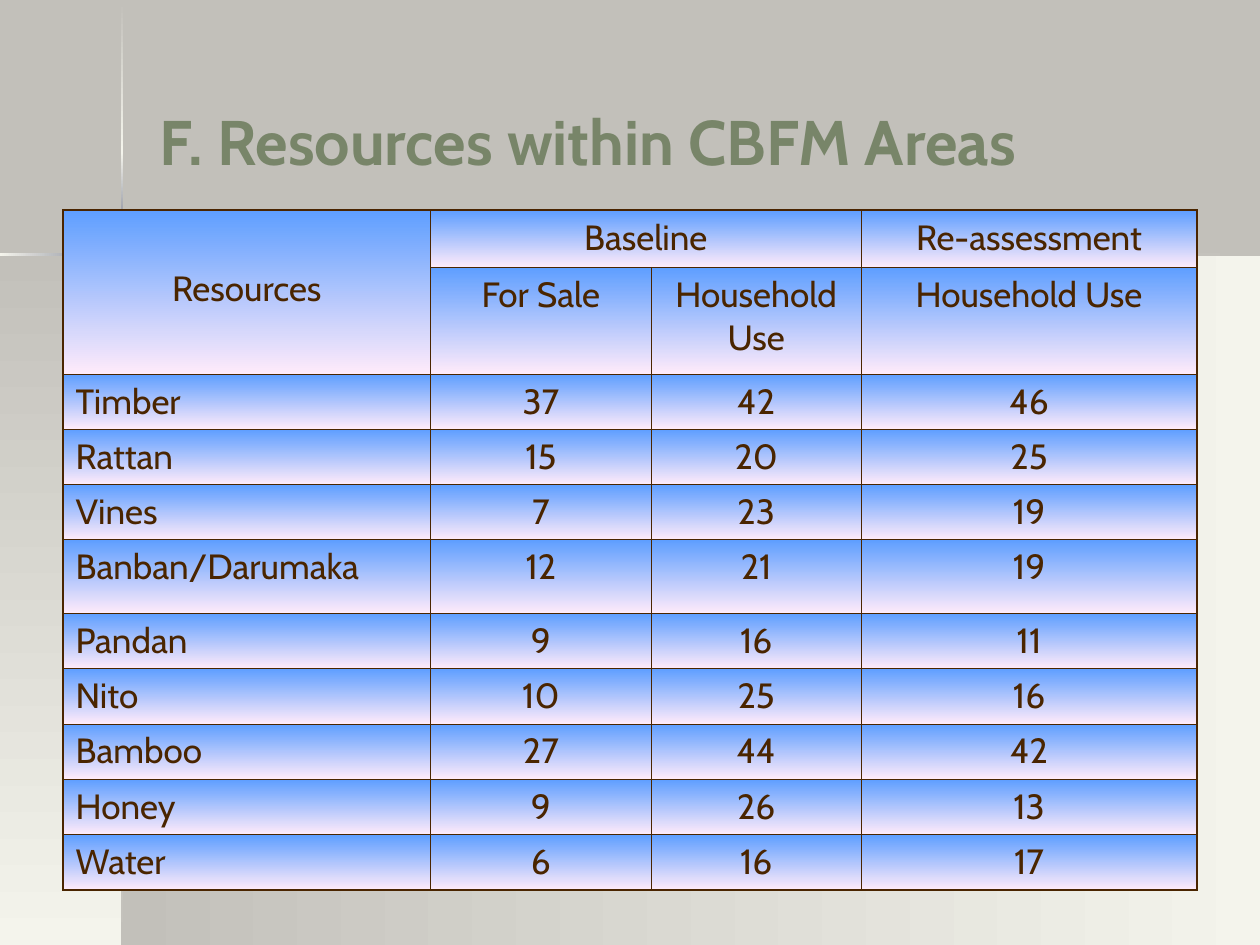
from itertools import pairwise

from lxml.etree import SubElement
from pptx import Presentation
from pptx.dml.color import RGBColor
from pptx.enum.shapes import MSO_SHAPE as Shape
from pptx.enum.text import MSO_ANCHOR as Anchor, PP_ALIGN as Align
from pptx.oxml import parse_xml
from pptx.oxml.ns import nsdecls, qn
from pptx.util import Cm, Pt

STONE = RGBColor(0xC2, 0xC0, 0xBA)
IVORY = RGBColor(0xF4, 0xF4, 0xEC)
GREY = RGBColor(0xA5, 0xA7, 0xAF)
OLIVE = RGBColor(0x9C, 0x98, 0x00)
BLUE = RGBColor(0x5E, 0x9E, 0xFF)
PINK = RGBColor(0xFF, 0xEB, 0xFA)
BROWN = RGBColor(0x4A, 0x25, 0x00)
SAGE = RGBColor(0x78, 0x85, 0x69)

WIDTH, HEIGHT = 25.4, 19.05
SPLIT_X, SPLIT_Y = 2.46, 5.13
HAIR = 0.05
DOWN, LEFTWARD = 270, 180  # counter-clockwise degrees

COLUMNS = [7.41, 4.45, 4.23, 6.77]
ROWS = [1.15, 2.14] + [1.11] * 3 + [1.48] + [1.11] * 5
MERGES = [((0, 0), (1, 0)), ((0, 1), (0, 2))]
RESOURCES = [
    ("Resources", "Baseline", "", "Re-assessment"),
    ("", "For Sale", "Household Use", "Household Use"),
    ("Timber", 37, 42, 46),
    ("Rattan", 15, 20, 25),
    ("Vines", 7, 23, 19),
    ("Banban/Darumaka", 12, 21, 19),
    ("Pandan", 9, 16, 11),
    ("Nito", 10, 25, 16),
    ("Bamboo", 27, 44, 42),
    ("Honey", 9, 26, 13),
    ("Water", 6, 16, 17),
]


def set_gradient(fill, props, colours, angle):
    """Spread any number of colours evenly; props is the element holding the fill."""
    fill.gradient()
    fill.gradient_angle = angle
    stops = props.find(".//" + qn("a:gsLst"))
    stops.clear()
    for i, colour in enumerate(colours):
        stop = SubElement(stops, qn("a:gs"), pos=str(100000 * i // (len(colours) - 1)))
        SubElement(stop, qn("a:srgbClr"), val=str(colour))


class SlideBuilder:
    font = "Cabin"

    def __init__(self, s):
        self.s = s

    def background(self, colour):
        fill = self.s.background.fill
        fill.solid()
        fill.fore_color.rgb = colour

    def band(self, x, y, w, h, colours, angle):
        sp = self.s.shapes.add_shape(Shape.RECTANGLE, Cm(x), Cm(y), Cm(w), Cm(h))
        sp.shadow.inherit = False
        sp.line.fill.background()
        set_gradient(sp.fill, sp._element.spPr, colours, angle)

    def style(self, p, size, colour, bold=False):
        for r in p.runs:
            r.font.name = self.font
            r.font.size = Pt(size)
            r.font.bold = bold
            r.font.color.rgb = colour

    def title(self, text, x, y, w, h):
        tf = self.s.shapes.add_textbox(Cm(x), Cm(y), Cm(w), Cm(h)).text_frame
        tf.word_wrap = True
        tf.vertical_anchor = Anchor.MIDDLE
        tf.text = text
        self.style(tf.paragraphs[0], 36, SAGE, bold=True)

    def borders(self, cell, outer):
        """Draw the four sides, heavier where the side is on the table's edge."""
        for i, (side, is_outer) in enumerate(zip("LRTB", outer)):
            width = Pt(1.08 if is_outer else 0.45)
            cell._tc.get_or_add_tcPr().insert(i, parse_xml(
                f'<a:ln{side} {nsdecls("a")} w="{width}"><a:solidFill>'
                f'<a:srgbClr val="{BROWN}"/></a:solidFill></a:ln{side}>'))

    def table(self, data, columns, rows, merges, x, y):
        table = self.s.shapes.add_table(len(rows), len(columns), Cm(x), Cm(y),
                                        Cm(sum(columns)), Cm(sum(rows))).table
        table.first_row = table.horz_banding = False
        for column, width in zip(table.columns, columns):
            column.width = Cm(width)
        for row, height in zip(table.rows, rows):
            row.height = Cm(height)
        last_row, last_column = len(rows) - 1, len(columns) - 1
        for i, values in enumerate(data):
            for j, value in enumerate(values):
                cell = table.cell(i, j)
                cell.text = str(value)
                p = cell.text_frame.paragraphs[0]
                p.space_before = Pt(5)
                p.alignment = Align.LEFT if j == 0 and i > 1 else Align.CENTER
                self.style(p, 20, BROWN)
                set_gradient(cell.fill, cell._tc.tcPr, (BLUE, PINK), DOWN)
                self.borders(cell, (j == 0, j == last_column, i == 0, i == last_row))
        for start, end in merges:
            table.cell(*start).merge(table.cell(*end))
        return table


def main():
    prs = Presentation()
    prs.slide_width, prs.slide_height = Cm(WIDTH), Cm(HEIGHT)
    b = SlideBuilder(prs.slides.add_slide(prs.slide_layouts[6]))

    b.background(STONE)
    below = HEIGHT - SPLIT_Y
    b.band(SPLIT_X, SPLIT_Y, WIDTH - SPLIT_X, below, (IVORY, STONE), LEFTWARD)
    b.band(0, SPLIT_Y, SPLIT_X, below, (STONE, IVORY), DOWN)

    vertical = [(STONE, IVORY), (IVORY, GREY), (GREY, OLIVE, GREY),
                (GREY, IVORY), (IVORY, STONE)]
    for (top, end), colours in zip(pairwise([0.02, 3.07, 4.19, 6.05, 7.16, HEIGHT]), vertical):
        b.band(SPLIT_X - HAIR / 2, top, HAIR, end - top, colours, DOWN)
    horizontal = [(GREY, IVORY), (GREY, OLIVE, GREY), (IVORY, GREY), (STONE, IVORY)]
    for (left, end), colours in zip(pairwise([0, 1.53, 3.38, 4.5, WIDTH]), horizontal):
        b.band(left, SPLIT_Y - HAIR / 2, end - left, HAIR, colours, LEFTWARD)

    table = b.table(RESOURCES, COLUMNS, ROWS, MERGES, 1.27, 4.24)
    table.cell(0, 0).margin_top = Cm(1.16)
    b.title("F. Resources within CBFM Areas", 2.97, 0.84, 20.96, 3.99)
    prs.save("out.pptx")


if __name__ == "__main__":
    main()
